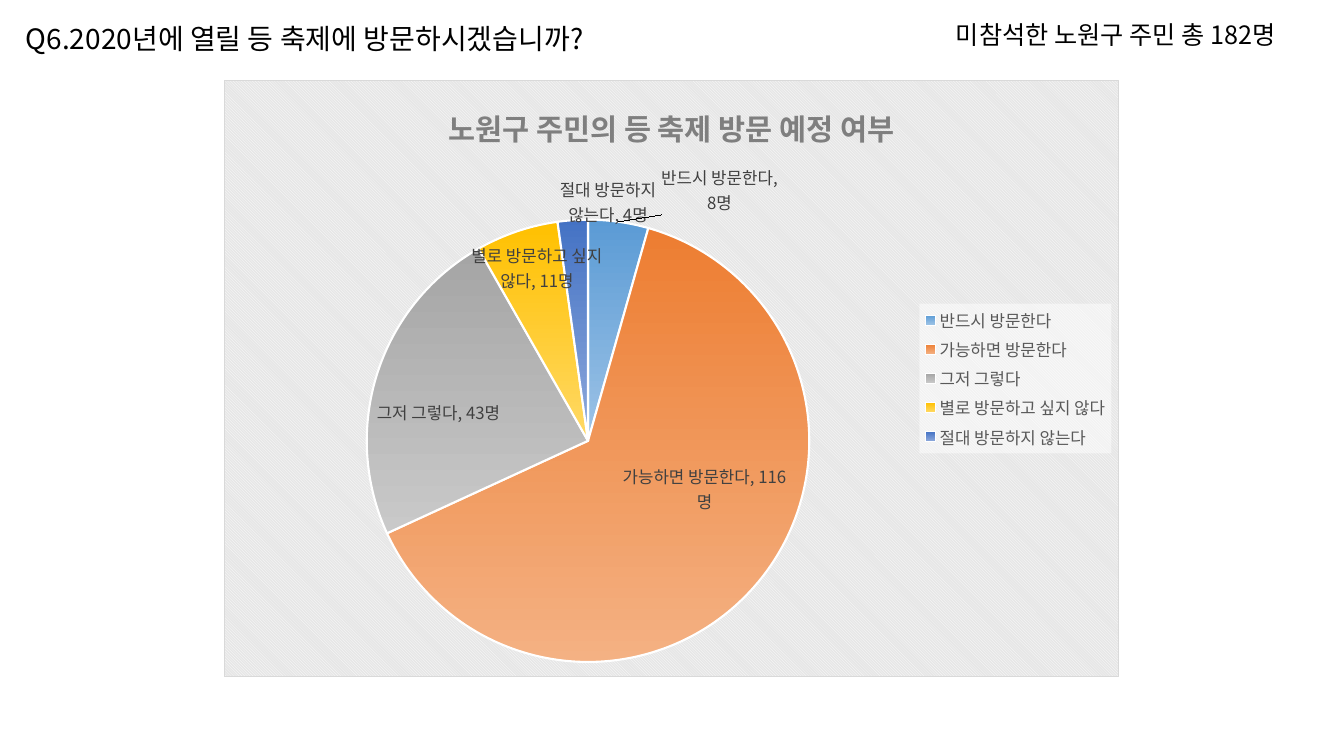
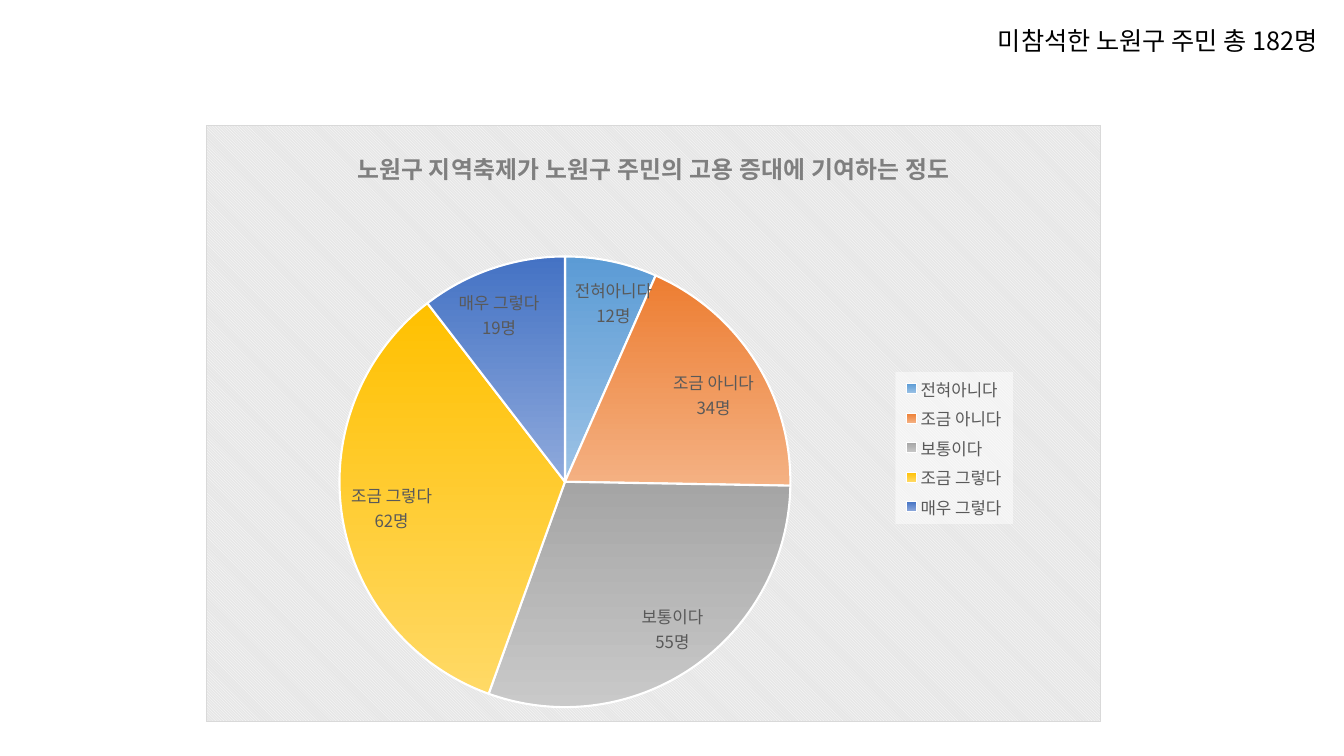
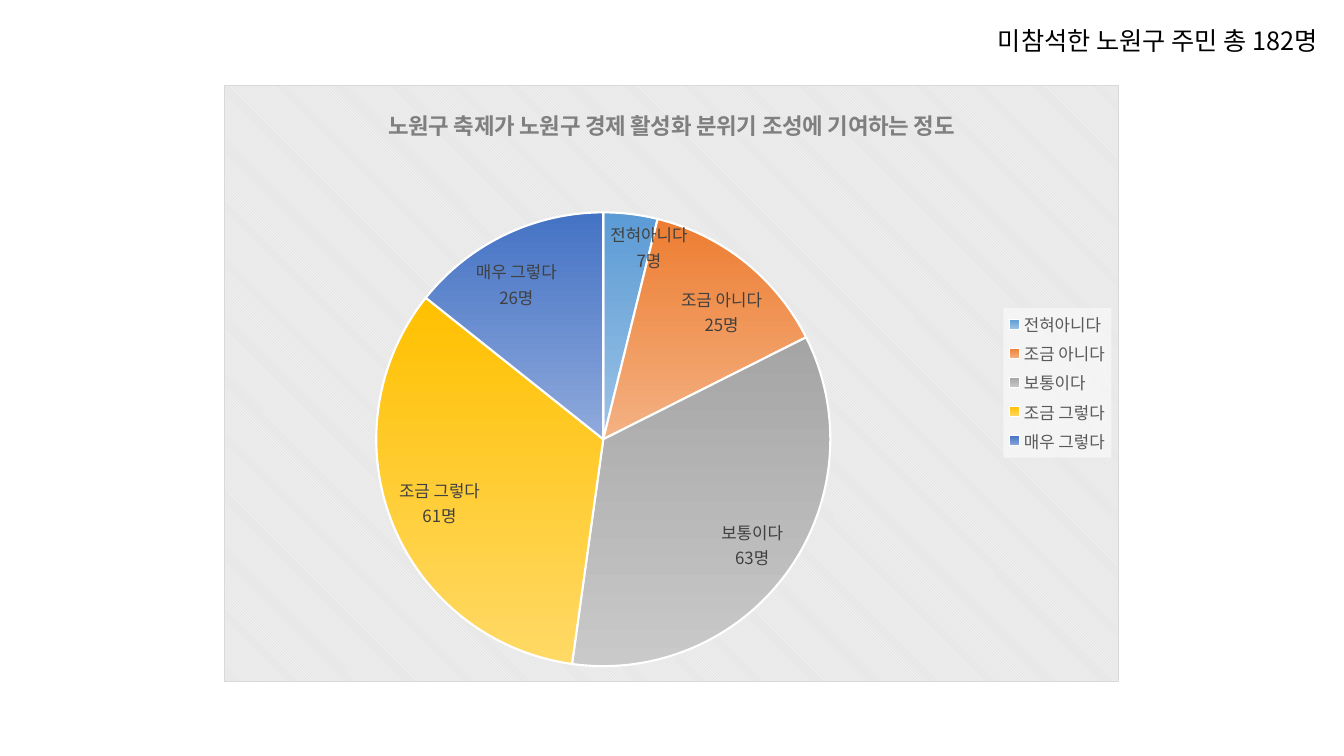
from dataclasses import dataclass

from lxml import etree
from pptx import Presentation
from pptx import util as u
from pptx.chart import data as chart_data
from pptx.dml import color
from pptx.enum import chart as chart_enum
from pptx.enum import text as text_enum
from pptx.oxml import ns, parse_xml

# Shared style
PX = 9525
SLIDE_SIZE = (1280, 720)
CHART_SIZE = (853, 569)
FONT = "Noto Sans CJK KR"
BLACK, WHITE = "000000", "FFFFFF"
TITLE_GREY, LEGEND_GREY, LABEL_GREY = "7F7F7F", "595959", "404040"
PATTERN_GREY, BORDER_GREY = "E6E6E6", "D9D9D9"
SLICE_GRADIENTS = [
    ("5B9BD5", "9DC3E6"),
    ("ED7D31", "F4B183"),
    ("A5A5A5", "C9C9C9"),
    ("FFC000", "FFD966"),
    ("4472C4", "8FAADC"),
]
RESPONDENTS = "미참석한 노원구 주민 총 182명"
AGREEMENT = ["전혀아니다", "조금 아니다", "보통이다", "조금 그렇다", "매우 그렇다"]

Position = chart_enum.XL_LABEL_POSITION
Box = tuple[int, int, int, int]
Shift = tuple[int, int]


@dataclass
class Label:
    text: str
    shift: Shift
    position: Position = Position.INSIDE_END


@dataclass
class Survey:
    title: str
    title_size: float
    categories: list[str]
    values: list[int]
    labels: list[Label]
    chart_at: tuple[int, int]
    pie: Box
    legend: Box
    note: Box
    label_color: str = LABEL_GREY
    question: str = ""


def agreement_labels(values: list[int], shifts: list[Shift]) -> list[Label]:
    return [Label(f"{name}\n{value}명", shift)
            for name, value, shift in zip(AGREEMENT, values, shifts)]


JOBS = [12, 34, 55, 62, 19]
JOBS_SHIFTS = [(40, 10), (4, 6), (13, -8), (3, 16), (-34, 15)]
ECONOMY = [7, 25, 63, 61, 26]
ECONOMY_SHIFTS = [(55, 2), (20, 19), (0, 2), (1, 6), (-30, 18)]
SURVEYS = [
    Survey(
        "노원구 주민의 등 축제 방문 예정 여부", 21,
        ["반드시 방문한다", "가능하면 방문한다", "그저 그렇다",
         "별로 방문하고 싶지 않다", "절대 방문하지 않는다"],
        [8, 116, 43, 11, 4],
        [
            Label("반드시 방문한다,\n8명", (40, -1), Position.OUTSIDE_END),
            Label("가능하면 방문한다, 116명", (31, -23), Position.CENTER),
            Label("그저 그렇다, 43명", (-6, 23)),
            Label("별로 방문하고 싶지\n않다, 11명", (-45, 5)),
            Label("절대 방문하지\n않는다, 4명", (34, 12), Position.OUTSIDE_END),
        ],
        chart_at=(213, 76), pie=(136, 133, 422, 422), legend=(663, 213, 183, 143),
        note=(901, 14, 360, 38),
        question="Q6.2020년에 열릴 등 축제에 방문하시겠습니까?",
    ),
    Survey(
        "노원구 지역축제가 노원구 주민의 고용 증대에 기여하는 정도", 17,
        AGREEMENT, JOBS, agreement_labels(JOBS, JOBS_SHIFTS),
        chart_at=(196, 119), pie=(127, 125, 430, 430), legend=(657, 235, 112, 145),
        note=(941, 19, 360, 38), label_color=LEGEND_GREY,
    ),
    Survey(
        "노원구 축제가 노원구 경제 활성화 분위기 조성에 기여하는 정도", 16,
        AGREEMENT, ECONOMY, agreement_labels(ECONOMY, ECONOMY_SHIFTS),
        chart_at=(213, 81), pie=(145, 121, 433, 433), legend=(743, 212, 103, 143),
        note=(941, 19, 360, 38),
    ),
]


# Formatting helpers
def px(*lengths: int) -> list[int]:
    return [u.Emu(length * PX) for length in lengths]


def rgb(value: str) -> color.RGBColor:
    return color.RGBColor.from_string(value)


def set_font(font, size: float, fill: str, bold: bool = False) -> None:
    font.name, font.size, font.bold = FONT, u.Pt(size), bold
    font.color.rgb = rgb(fill)
    latin = font._rPr.find(ns.qn("a:latin"))
    east_asian = etree.Element(ns.qn("a:ea"), typeface=FONT)
    latin.addnext(east_asian)


def write(frame, content: str, *, size: float, fill: str = BLACK, bold: bool = False) -> None:
    frame.text = content
    for paragraph in frame.paragraphs:
        for run in paragraph.runs:
            set_font(run.font, size, fill, bold)


def write_line(shape, box: Box, content: str, size: float) -> None:
    shape.left, shape.top, shape.width, shape.height = px(*box)
    frame = shape.text_frame
    write(frame, content, size=size)
    frame.word_wrap = False
    frame.auto_size = text_enum.MSO_AUTO_SIZE.SHAPE_TO_FIT_TEXT
    frame.vertical_anchor = text_enum.MSO_ANCHOR.TOP
    frame.paragraphs[0].alignment = text_enum.PP_ALIGN.LEFT


def set_layout(parent, settings: dict, after: str = "") -> None:
    """Give a chart part a manual layout, following the named child."""
    for old in parent.findall(ns.qn("c:layout")):
        parent.remove(old)
    layout = etree.Element(ns.qn("c:layout"))
    manual = etree.SubElement(layout, ns.qn("c:manualLayout"))
    for name, value in settings.items():
        etree.SubElement(manual, ns.qn(f"c:{name}"), val=str(value))
    if after:
        parent.find(ns.qn(after)).addnext(layout)
    else:
        parent.insert(0, layout)


def edge_layout(box: Box) -> dict:
    fractions = [round(length / CHART_SIZE[i % 2], 4) for i, length in enumerate(box)]
    return {"xMode": "edge", "yMode": "edge", **dict(zip("xywh", fractions))}


def shape_properties(content: str):
    return parse_xml(f'<c:spPr {ns.nsdecls("c", "a")}>{content}</c:spPr>')


def solid(value: str, alpha: int = 100) -> str:
    return (f'<a:solidFill><a:srgbClr val="{value}"><a:alpha val="{alpha * 1000}"/>'
            f'</a:srgbClr></a:solidFill>')


# Chart parts
def style_frame(chart) -> None:
    pattern = (f'<a:pattFill prst="dkDnDiag"><a:fgClr><a:srgbClr val="{WHITE}"/></a:fgClr>'
               f'<a:bgClr><a:srgbClr val="{PATTERN_GREY}"/></a:bgClr></a:pattFill>')
    border = f'<a:ln w="{u.Pt(0.75)}">{solid(BORDER_GREY)}</a:ln>'
    chart._chartSpace.find(ns.qn("c:chart")).addnext(shape_properties(pattern + border))


def style_legend(chart, box: Box) -> None:
    chart.has_legend = True
    legend = chart.legend
    legend.position = chart_enum.XL_LEGEND_POSITION.RIGHT
    legend.include_in_layout = False
    set_font(legend.font, 12, LEGEND_GREY)
    element = legend._element
    set_layout(element, edge_layout(box), after="c:legendPos")
    element.find(ns.qn("c:overlay")).addnext(shape_properties(solid(WHITE, 50)))


def style_slice(point, gradient: tuple[str, str]) -> None:
    fill = point.format.fill
    fill.gradient()
    fill.gradient_angle = 270
    for stop, value in zip(fill.gradient_stops, gradient):
        stop.color.rgb = rgb(value)
    point.format.line.color.rgb = rgb(WHITE)
    point.format.line.width = u.Pt(1.5)


def style_label(point, label: Label, fill: str) -> None:
    data_label = point.data_label
    write(data_label.text_frame, label.text, size=12, fill=fill)
    data_label.position = label.position
    offsets = [round(s / size, 4) for s, size in zip(label.shift, CHART_SIZE)]
    set_layout(data_label._get_or_add_dLbl(), dict(zip("xy", offsets)), after="c:idx")


def add_pie(slide, survey: Survey) -> None:
    numbers = chart_data.CategoryChartData()
    numbers.categories = survey.categories
    numbers.add_series("Series 1", survey.values)
    chart = slide.shapes.add_chart(
        chart_enum.XL_CHART_TYPE.PIE, *px(*survey.chart_at, *CHART_SIZE), numbers
    ).chart
    set_font(chart.font, 10, BLACK)
    style_frame(chart)
    chart.has_title = True
    write(chart.chart_title.text_frame, survey.title,
          size=survey.title_size, fill=TITLE_GREY, bold=True)
    chart.chart_title.include_in_layout = False
    style_legend(chart, survey.legend)

    plot = chart.plots[0]
    plot.vary_by_categories = True
    plot_area = chart._chartSpace.find(".//" + ns.qn("c:plotArea"))
    set_layout(plot_area, {"layoutTarget": "inner", **edge_layout(survey.pie)})
    series = plot.series[0]
    labels = series.data_labels
    labels.show_value = labels.show_category_name = True
    set_font(labels.font, 12, survey.label_color)
    for i, (gradient, label) in enumerate(zip(SLICE_GRADIENTS, survey.labels)):
        style_slice(series.points[i], gradient)
        style_label(series.points[i], label, survey.label_color)


# Slides
def add_survey(presentation, survey: Survey) -> None:
    title_only, blank = presentation.slide_layouts[5], presentation.slide_layouts[6]
    slide = presentation.slides.add_slide(title_only if survey.question else blank)
    add_pie(slide, survey)
    if survey.question:
        write_line(slide.shapes.title, (15, 16, 601, 42), survey.question, 20)
    note = slide.shapes.add_textbox(*px(*survey.note))
    write_line(note, survey.note, RESPONDENTS, 18)


def main() -> None:
    presentation = Presentation()
    presentation.slide_width, presentation.slide_height = px(*SLIDE_SIZE)
    for survey in SURVEYS:
        add_survey(presentation, survey)
    presentation.save("out.pptx")


if __name__ == "__main__":
    main()
